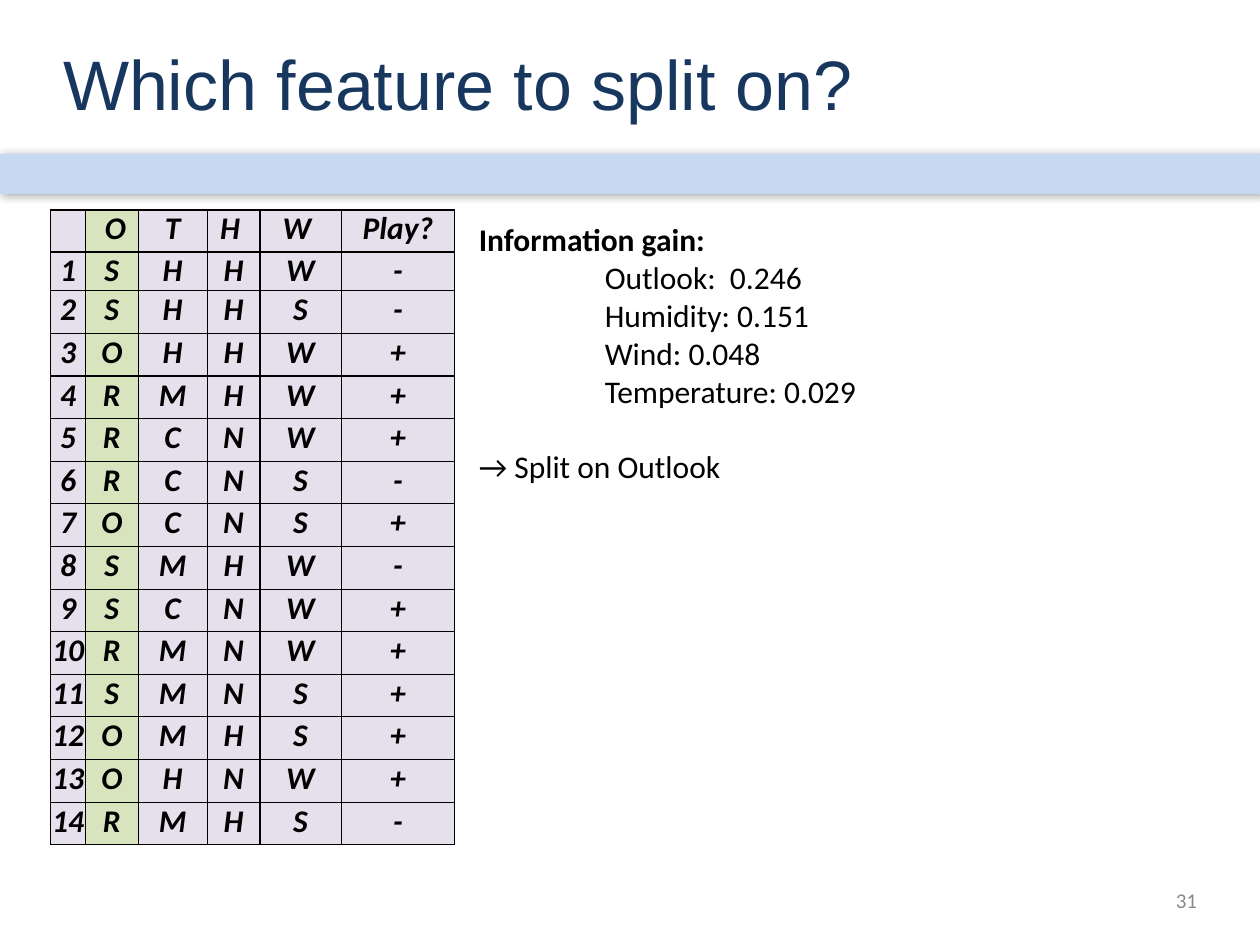
import pptx
import pptx.dml.color
import pptx.enum.shapes
import pptx.enum.text
import pptx.oxml
import pptx.oxml.ns
import pptx.util

Pt = pptx.util.Pt
RGB = pptx.dml.color.RGBColor
ALIGN = pptx.enum.text.PP_ALIGN
ANCHOR = pptx.enum.text.MSO_ANCHOR

BLACK = RGB(0x00, 0x00, 0x00)
NAVY = RGB(0x17, 0x37, 0x5E)
GREY = RGB(0x89, 0x89, 0x89)
BAND_BLUE = RGB(0xC6, 0xD9, 0xF1)
LILAC = RGB(0xE6, 0xE0, 0xEC)
GREEN = RGB(0xD7, 0xE4, 0xBD)

NO_MARGINS = dict.fromkeys(
    ("margin_left", "margin_top", "margin_right", "margin_bottom"), 0)
TITLE = {"name": "Arial", "size": Pt(40), "bold": False}
BODY = {"name": "Calibri", "size": Pt(18), "bold": False}
HEADING = BODY | {"bold": True}
CELL = HEADING | {"italic": True}
NUMBER = BODY | {"size": Pt(12)}

HEADER = ["", " O", "T", "H ", "W ", "Play?"]
DAYS = ["SHHW-", "SHHS-", "OHHW+", "RMHW+", "RCNW+", "RCNS-", "OCNS+",
        "SMHW-", "SCNW+", "RMNW+", "SMNS+", "OMHS+", "OHNW+", "RMHS-"]
COLUMN_WIDTHS = [19.8, 30.2, 39.4, 30.2, 46.4, 65]
ROW_HEIGHTS = [24, 22.2] + [24.36] * (len(DAYS) - 1)
SPLIT_COLUMN = 1
GAINS = ["Outlook:  0.246", "Humidity: 0.151", "Wind: 0.048",
         "Temperature: 0.029"]


def apply(target, values):
    for name, value in values.items():
        setattr(target, name, value)


def add_xml(parent, xml):
    """Append a DrawingML element, with NS in the root tag as its namespace."""
    ns = pptx.oxml.ns.nsdecls("a")
    parent.append(pptx.oxml.parse_xml(xml.replace("NS", ns, 1)))


def indent(p, left):
    p._p.get_or_add_pPr().set("marL", str(Pt(left)))


class SlideBuilder:
    def __init__(self, prs):
        self.s = prs.slides.add_slide(prs.slide_layouts[5])
        self.shapes = self.s.shapes

    def add_text(self, p, text, style, color=BLACK, **layout):
        r = p.add_run()
        r.text = text
        apply(p, layout)
        apply(r.font, style)
        r.font.color.rgb = color

    def frame(self, sp, anchor):
        tf = sp.text_frame
        apply(tf, NO_MARGINS | {"word_wrap": True, "vertical_anchor": anchor})
        return tf

    def band(self, left, top, width, height):
        sp = self.shapes.add_shape(
            pptx.enum.shapes.MSO_SHAPE.RECTANGLE,
            Pt(left), Pt(top), Pt(width), Pt(height))
        sp.fill.solid()
        sp.fill.fore_color.rgb = BAND_BLUE
        sp.line.fill.background()
        add_xml(sp._element.spPr,
                '<a:effectLst NS><a:outerShdw blurRad="63500" dist="20320" '
                'dir="0" rotWithShape="0"><a:srgbClr val="000000">'
                '<a:alpha val="38000"/></a:srgbClr></a:outerShdw></a:effectLst>')

    def title(self, text, left, top, width, height):
        sp = self.shapes.title
        apply(sp, {"left": Pt(left), "top": Pt(top),
                   "width": Pt(width), "height": Pt(height)})
        self.shapes._spTree.append(sp._element)  # in front of the band
        tf = self.frame(sp, ANCHOR.MIDDLE)
        self.add_text(tf.paragraphs[0], text, TITLE, NAVY,
                      alignment=ALIGN.LEFT)

    def text_box(self, left, top, width, height, anchor=ANCHOR.TOP):
        sp = self.shapes.add_textbox(Pt(left), Pt(top), Pt(width), Pt(height))
        return self.frame(sp, anchor)

    def cell(self, cell, text, fill):
        apply(cell, NO_MARGINS | {"vertical_anchor": ANCHOR.TOP})
        p = cell.text_frame.paragraphs[0]
        if text:
            self.add_text(p, text, CELL, alignment=ALIGN.CENTER)
        else:
            apply(p.font, CELL)
        for side in "LRTB":
            add_xml(cell._tc.get_or_add_tcPr(),
                    f'<a:ln{side} NS w="9525"><a:solidFill>'
                    f'<a:srgbClr val="{BLACK}"/></a:solidFill></a:ln{side}>')
        cell.fill.solid()
        cell.fill.fore_color.rgb = fill

    def table(self, rows, left, top):
        table = self.shapes.add_table(
            len(rows), len(COLUMN_WIDTHS), Pt(left), Pt(top),
            Pt(sum(COLUMN_WIDTHS)), Pt(sum(ROW_HEIGHTS))).table
        apply(table, {"first_row": False, "horz_banding": False})
        for column, width in zip(table.columns, COLUMN_WIDTHS):
            column.width = Pt(width)
        for row, height, texts in zip(table.rows, ROW_HEIGHTS, rows):
            row.height = Pt(height)
            for i, (cell, text) in enumerate(zip(row.cells, texts)):
                self.cell(cell, text, GREEN if i == SPLIT_COLUMN else LILAC)


def main():
    prs = pptx.Presentation()
    prs.slide_width, prs.slide_height = Pt(720), Pt(540)
    b = SlideBuilder(prs)

    b.band(0, 88, 720, 23)
    b.title("Which feature to split on?", 36, 2, 648, 90)
    days = [[str(n), *day] for n, day in enumerate(DAYS, 1)]
    b.table([HEADER] + days, 29, 120)

    number = b.text_box(516, 504, 168, 21, ANCHOR.MIDDLE)
    b.add_text(number.paragraphs[0], "31", NUMBER, GREY,
               alignment=ALIGN.RIGHT)

    tf = b.text_box(273.6, 126, 401, 147)
    b.add_text(tf.paragraphs[0], "Information gain:", HEADING)
    for gain in GAINS:
        p = tf.add_paragraph()
        indent(p, 72)
        b.add_text(p, gain, BODY)
    b.add_text(tf.add_paragraph(), "→ Split on Outlook", BODY,
               space_before=Pt(21.6))

    prs.save("out.pptx")


if __name__ == "__main__":
    main()
